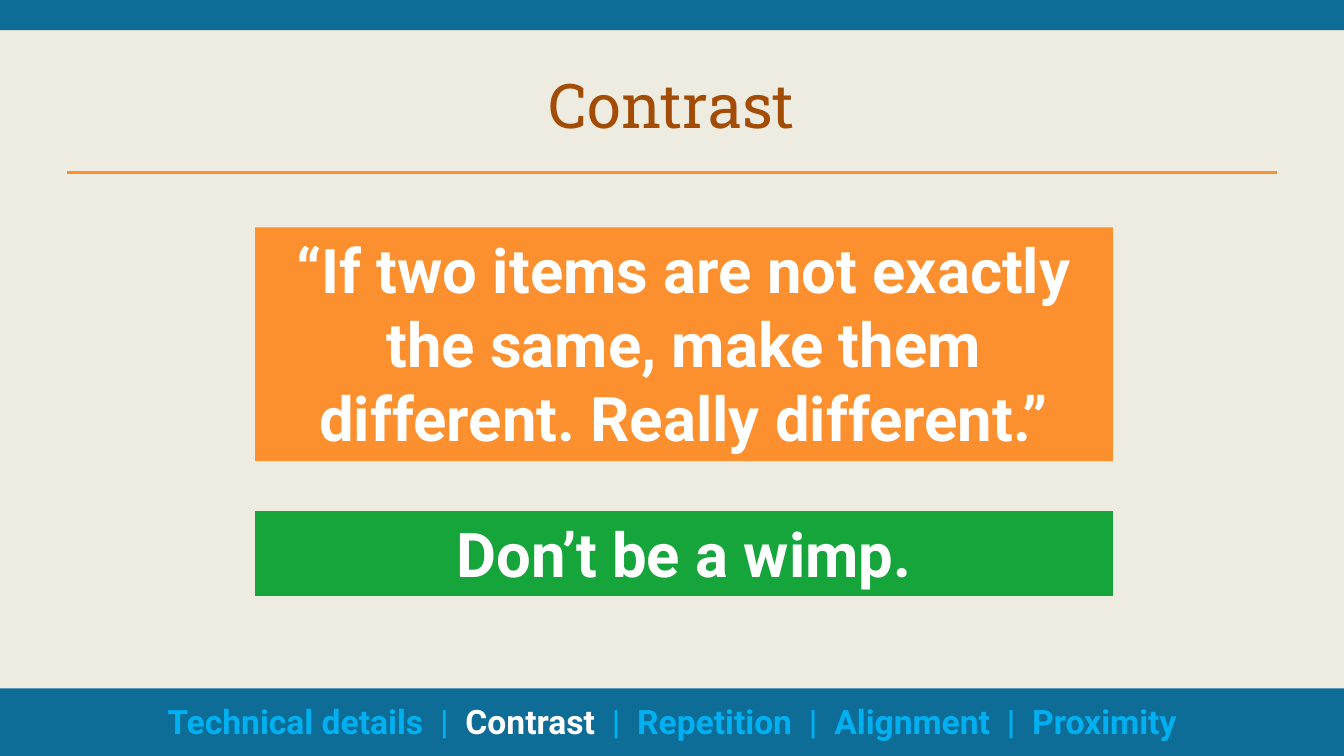
"""Build the "Contrast" slide with its two statements and the section navigation."""
from dataclasses import dataclass

import pptx
import pptx.dml.color
import pptx.enum.shapes
import pptx.enum.text
import pptx.oxml.ns
import pptx.shapes.autoshape
import pptx.slide
import pptx.text.text
import pptx.util
from pptx.util import Cm, Pt


@dataclass(frozen=True)
class Theme:
    background: str = "EEECE1"
    band: str = "0D6D97"
    orange: str = "FD902E"
    green: str = "15A53B"
    title: str = "A34C05"
    white: str = "FFFFFF"
    inactive: str = "00B0F0"
    head_font: str = "Roboto Slab"
    body_font: str = "Roboto"
    large: int = 44
    small: int = 24
    gap: int = 6


@dataclass(frozen=True)
class Block:
    left: float
    top: float
    width: float
    height: float
    fill: str
    text: str = ""


THEME = Theme()
WIDTH, HEIGHT = 33.87, 19.05
MARGIN = 1.69
BOX_LEFT, BOX_WIDTH = 6.43, 21.62
SECTIONS = ["Technical details", "Contrast", "Repetition", "Alignment", "Proximity"]
CURRENT = "Contrast"
BLOCKS = [
    Block(0, 17.35, WIDTH, 1.7, THEME.band),
    Block(0, 0, WIDTH, 0.76, THEME.band),
    Block(BOX_LEFT, 12.88, BOX_WIDTH, 2.14, THEME.green, "Don’t be a wimp."),
    Block(BOX_LEFT, 5.73, BOX_WIDTH, 5.89, THEME.orange,
          "“If two items are not exactly the same, make them different. Really different.”"),
]


def rgb(value: str) -> pptx.dml.color.RGBColor:
    return pptx.dml.color.RGBColor.from_string(value)


def add_run(p: pptx.text.text._Paragraph, text: str, color: str, size: int,
            font: str = THEME.body_font, bold: bool = True) -> pptx.text.text._Run:
    r = p.add_run()
    r.text = text
    r.font.name, r.font.size, r.font.bold = font, Pt(size), bold
    r.font.color.rgb = rgb(color)
    return r


def add_block(s: pptx.slide.Slide, block: Block) -> None:
    sp = s.shapes.add_shape(pptx.enum.shapes.MSO_SHAPE.RECTANGLE, Cm(block.left),
                            Cm(block.top), Cm(block.width), Cm(block.height))
    sp.shadow.inherit = False
    sp.fill.solid()
    sp.fill.fore_color.rgb = rgb(block.fill)
    sp.line.fill.background()
    if block.text:
        tf = sp.text_frame
        tf.word_wrap = True
        tf.auto_size = pptx.enum.text.MSO_AUTO_SIZE.SHAPE_TO_FIT_TEXT
        tf.vertical_anchor = pptx.enum.text.MSO_ANCHOR.TOP
        p = tf.paragraphs[0]
        p.alignment = pptx.enum.text.PP_ALIGN.CENTER
        add_run(p, block.text, THEME.white, THEME.large)


def add_title(s: pptx.slide.Slide, text: str) -> None:
    sp = s.shapes.title
    sp.left, sp.top, sp.width, sp.height = Cm(MARGIN), Cm(1.27), Cm(WIDTH - 2 * MARGIN), Cm(2.67)
    tf = sp.text_frame
    tf.auto_size = pptx.enum.text.MSO_AUTO_SIZE.NONE
    tf.vertical_anchor = pptx.enum.text.MSO_ANCHOR.MIDDLE
    p = tf.paragraphs[0]
    p.alignment = pptx.enum.text.PP_ALIGN.CENTER
    add_run(p, text, THEME.title, THEME.large, THEME.head_font, False)


def add_rule(s: pptx.slide.Slide, y: float) -> None:
    line = s.shapes.add_connector(pptx.enum.shapes.MSO_CONNECTOR.STRAIGHT,
                                  Cm(MARGIN), Cm(y), Cm(WIDTH - MARGIN), Cm(y))
    line.line.color.rgb = rgb(THEME.orange)
    line.line.width = Pt(2)
    line._element.spPr.append(pptx.oxml.parse_xml(
        f"<a:effectLst {pptx.oxml.ns.nsdecls('a')}/>"))


def add_separator(p: pptx.text.text._Paragraph) -> None:
    for text in (" ", "|", " "):
        r = add_run(p, text, THEME.inactive, THEME.small)
        if text == " ":
            r._r.get_or_add_rPr().set("spc", str(THEME.gap * 100))


def add_navigation(s: pptx.slide.Slide) -> None:
    sp = s.shapes.add_textbox(0, Cm(17.53), Cm(WIDTH), Cm(1.27))
    tf = sp.text_frame
    tf.word_wrap = True
    tf.auto_size = pptx.enum.text.MSO_AUTO_SIZE.SHAPE_TO_FIT_TEXT
    p = tf.paragraphs[0]
    p.alignment = pptx.enum.text.PP_ALIGN.CENTER
    for i, section in enumerate(SECTIONS):
        if i:
            add_separator(p)
        color = THEME.white if section == CURRENT else THEME.inactive
        add_run(p, section, color, THEME.small)


def main() -> None:
    prs = pptx.Presentation()
    prs.slide_width, prs.slide_height = Cm(WIDTH), Cm(HEIGHT)
    s = prs.slides.add_slide(prs.slide_layouts.get_by_name("Title Only"))
    s.background.fill.solid()
    s.background.fill.fore_color.rgb = rgb(THEME.background)
    add_title(s, CURRENT)
    add_rule(s, 4.34)
    for block in BLOCKS:
        add_block(s, block)
    add_navigation(s)
    prs.save("out.pptx")


if __name__ == "__main__":
    main()
